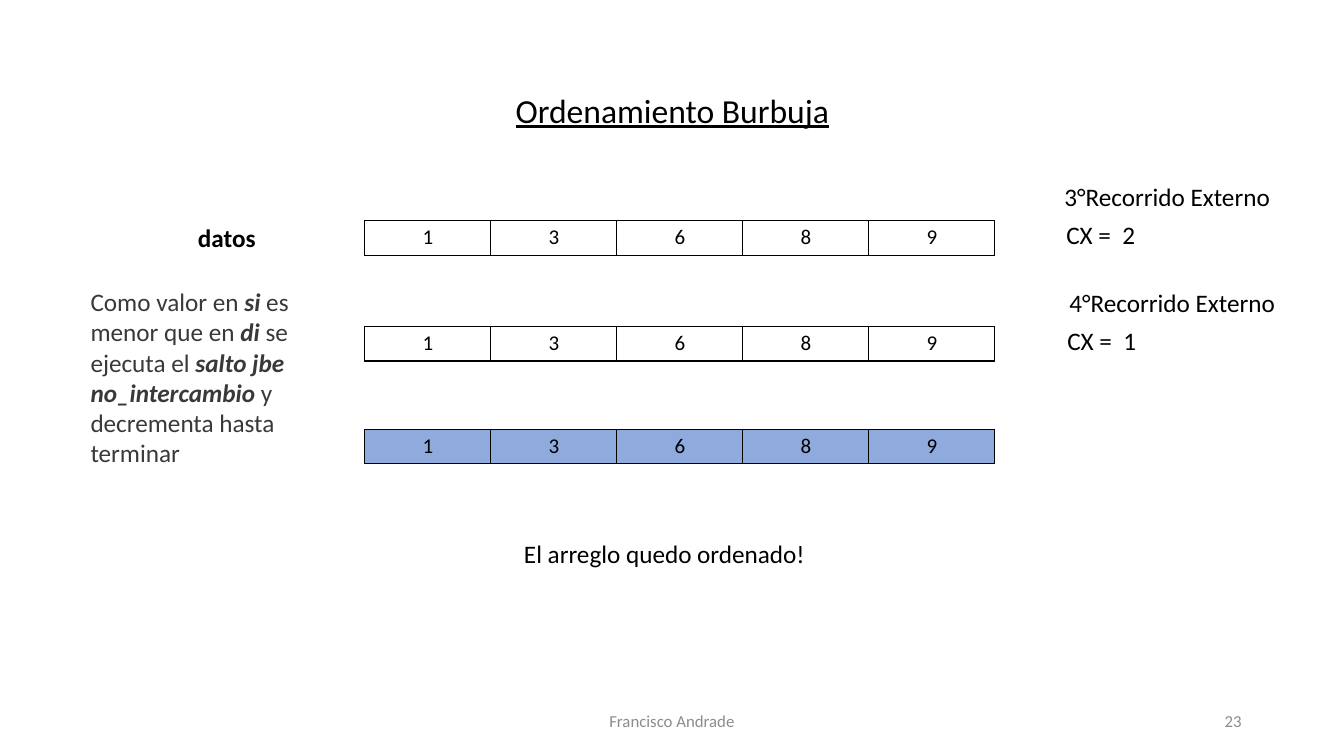
import pptx
import pptx.util
import pptx.dml.color
import pptx.enum.text
import pptx.oxml
import pptx.oxml.ns

Pt = pptx.util.Pt
ALIGN = pptx.enum.text.PP_ALIGN
ANCHOR = pptx.enum.text.MSO_ANCHOR

BLACK, GREY, DARK, BLUE = "000000", "8C8C8C", "3B3838", "8FAADC"
FONT = "Calibri"

# Sorted array, shown once per pass: top of the row, cell fill
VALUES = [1, 3, 6, 8, 9]
ROWS = [(157.7, None), (233.3, None), (306.7, BLUE)]
LEFT, CELL, HIGH = 260.64, 90, 24.6

# Text runs: wording and style (b bold, i italic, u underline)
NOTE = [
    ("Como valor en ", ""), ("si", "bi"), (" es menor que en ", ""),
    ("di", "bi"), (" se ejecuta el ", ""),
    ("salto jbe no_intercambio ", "bi"), ("y decrementa hasta terminar", ""),
]

# Text boxes: runs, (left, top, width, height), options
TEXTS = [
    ([("Ordenamiento Burbuja", "u")], (360, 60.5, 240.5, 36),
     dict(size=24, wrap=False)),
    ([("datos", "b")], (126, 155.5, 72, 29), {}),
    (NOTE, (57.6, 201, 191.5, 138), dict(color=DARK, align=ALIGN.LEFT)),
    ([("3°Recorrido Externo", "")], (750.2, 126, 167, 29), {}),
    ([("CX =  2", "")], (753.8, 153.4, 65, 29), dict(wrap=False)),
    ([("4°Recorrido Externo", "")], (753.8, 201.6, 167, 29), {}),
    ([("CX =  1", "")], (754.5, 229, 65, 29), dict(wrap=False)),
    ([("El arreglo quedo ordenado!", "")], (367.2, 380.9, 225.4, 29),
     dict(align=ALIGN.LEFT)),
    ([("Francisco Andrade", "")], (318, 500.5, 324, 28.75),
     dict(size=12, color=GREY, anchor=ANCHOR.MIDDLE)),
    ([("23", "")], (678, 500.5, 216, 28.75),
     dict(size=12, color=GREY, align=ALIGN.RIGHT, anchor=ANCHOR.MIDDLE)),
]


def rgb(code):
    """Turn a hex string into a colour."""
    return pptx.dml.color.RGBColor.from_string(code)


def add_run(para, text, style, size, color):
    """Add one styled run to a paragraph."""
    run = para.add_run()
    run.text = text
    font = run.font
    font.name, font.size = FONT, Pt(size)
    font.color.rgb = rgb(color)
    font.bold = "b" in style
    font.italic = "i" in style
    font.underline = "u" in style


def add_text(slide, runs, box, size=18, color=BLACK, align=ALIGN.CENTER,
             anchor=ANCHOR.TOP, wrap=True):
    """Add a text box holding one paragraph of runs."""
    frame = slide.shapes.add_textbox(*map(Pt, box)).text_frame
    frame.word_wrap = wrap
    frame.vertical_anchor = anchor
    para = frame.paragraphs[0]
    para.alignment = align
    for text, style in runs:
        add_run(para, text, style, size, color)


def add_edges(cell):
    """Draw a thin black line on all four sides of a cell."""
    props = cell._tc.get_or_add_tcPr()
    space = pptx.oxml.ns.nsdecls("a")
    for spot, side in enumerate(("lnL", "lnR", "lnT", "lnB")):
        props.insert(spot, pptx.oxml.parse_xml(
            f'<a:{side} {space} w="{Pt(1)}"><a:solidFill>'
            f'<a:srgbClr val="{BLACK}"/></a:solidFill></a:{side}>'))


def add_array(slide, top, fill):
    """Add the array as a table of one row."""
    count = len(VALUES)
    table = slide.shapes.add_table(
        1, count, Pt(LEFT), Pt(top), Pt(CELL * count), Pt(HIGH)).table
    table.first_row = table.horz_banding = False
    for col, value in enumerate(VALUES):
        table.columns[col].width = Pt(CELL)
        cell = table.cell(0, col)
        cell.margin_left = cell.margin_right = Pt(5.8)
        cell.margin_top = cell.margin_bottom = Pt(2.9)
        if fill:
            cell.fill.solid()
            cell.fill.fore_color.rgb = rgb(fill)
        else:
            cell.fill.background()
        add_edges(cell)
        para = cell.text_frame.paragraphs[0]
        para.alignment = ALIGN.CENTER
        add_run(para, str(value), "", 15, BLACK)


deck = pptx.Presentation()
deck.slide_width, deck.slide_height = Pt(960), Pt(540)
slide = deck.slides.add_slide(deck.slide_layouts[6])
for top, fill in ROWS:
    add_array(slide, top, fill)
for runs, box, extra in TEXTS:
    add_text(slide, runs, box, **extra)
deck.save("out.pptx")
